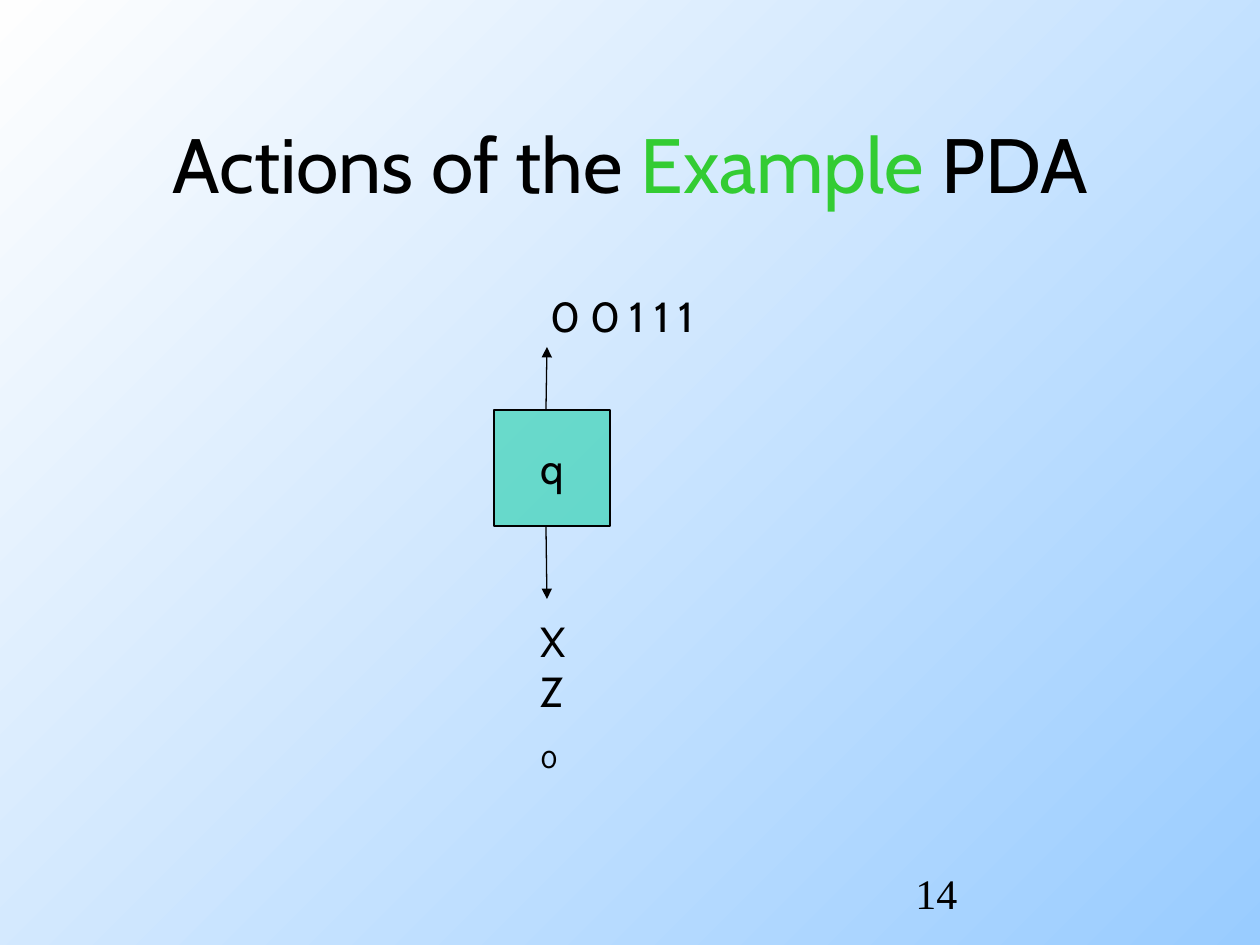
from lxml import etree
from pptx import Presentation
from pptx.dml.color import RGBColor
from pptx.enum.shapes import MSO_CONNECTOR, MSO_SHAPE
from pptx.enum.text import MSO_ANCHOR, MSO_AUTO_SIZE, PP_ALIGN
from pptx.oxml.ns import qn
from pptx.util import Emu, Pt

RECTANGLE = MSO_SHAPE.RECTANGLE
STRAIGHT = MSO_CONNECTOR.STRAIGHT
MIDDLE, TOP = MSO_ANCHOR.MIDDLE, MSO_ANCHOR.TOP
LEFT, CENTER = PP_ALIGN.LEFT, PP_ALIGN.CENTER
NO_FIT = MSO_AUTO_SIZE.NONE

BLACK = RGBColor(0x00, 0x00, 0x00)
GREEN = RGBColor(0x33, 0xCC, 0x33)
TEAL = RGBColor(0x00, 0xCC, 0x99)
SKY = RGBColor(0x99, 0xCC, 0xFF)
WHITE = RGBColor(0xFE, 0xFE, 0xFE)

PX_PER_INCH = 126


def px(length):
    return Emu(round(length * 914400 / PX_PER_INCH))


class SlideBuilder:
    """Holds the style and the current slide."""

    font = "Cabin"
    number_font = "Times New Roman"
    title_size = Pt(44)
    text_size = Pt(24)
    line_width = Pt(0.75)

    def __init__(self, slide):
        self.slide = slide

    def background(self, start, end, angle):
        fill = self.slide.background.fill
        fill.gradient()
        fill.gradient_angle = angle
        for stop, color in zip(fill.gradient_stops, (start, end)):
            stop.color.rgb = color

    def fill_text(self, shape, paragraphs, size=None, font=None, align=LEFT,
                  **frame_format):
        """Fill a shape with paragraphs of (text, color, baseline) runs."""
        frame = shape.text_frame
        frame_values = {"auto_size": NO_FIT, "word_wrap": True,
                        "vertical_anchor": TOP, **frame_format}
        for name, value in frame_values.items():
            setattr(frame, name, value)
        font_values = {"size": size or self.text_size,
                       "name": font or self.font}
        for index, runs in enumerate(paragraphs):
            paragraph = frame.add_paragraph() if index else frame.paragraphs[0]
            paragraph.alignment = align
            for text, color, baseline in runs:
                run = paragraph.add_run()
                run.text = text
                for name, value in font_values.items():
                    setattr(run.font, name, value)
                run.font.color.rgb = color
                if baseline:
                    run.font._element.set("baseline", str(baseline))

    def title(self, box, runs):
        shape = self.slide.shapes.title
        shape.left, shape.top, shape.width, shape.height = map(px, box)
        self.fill_text(shape, [runs], size=self.title_size, align=CENTER,
                       vertical_anchor=MIDDLE)

    def text(self, box, paragraphs, **text_format):
        shape = self.slide.shapes.add_textbox(*map(px, box))
        self.fill_text(shape, paragraphs, **text_format)

    def state_box(self, box, label, color, opacity):
        shape = self.slide.shapes.add_shape(RECTANGLE, *map(px, box))
        shape.shadow.inherit = False
        shape.fill.solid()
        shape.fill.fore_color.rgb = color
        color_element = shape._element.spPr.find(qn("a:solidFill"))[0]
        alpha = etree.SubElement(color_element, qn("a:alpha"))
        alpha.set("val", str(opacity * 1000))
        shape.line.color.rgb = BLACK
        shape.line.width = self.line_width
        self.fill_text(shape, [[(label, BLACK, 0)]], align=CENTER,
                       vertical_anchor=MIDDLE, word_wrap=False)

    def arrow(self, start, end):
        connector = self.slide.shapes.add_connector(
            STRAIGHT, *map(px, (*start, *end)))
        connector.line.color.rgb = BLACK
        connector.line.width = self.line_width
        properties = connector._element.spPr
        line = properties.find(qn("a:ln"))
        etree.SubElement(line, qn("a:tailEnd")).set("type", "triangle")
        etree.SubElement(properties, qn("a:effectLst"))


def main():
    presentation = Presentation()
    presentation.slide_width = px(1260)
    presentation.slide_height = px(945)
    title_only = presentation.slide_layouts[5]
    builder = SlideBuilder(presentation.slides.add_slide(title_only))

    # Background and title
    builder.background(SKY, WHITE, 135)
    builder.title((95, 84, 1071, 158), [("Actions of the ", BLACK, 0),
                                        ("Example ", GREEN, 0),
                                        ("PDA", BLACK, 0)])

    # State of the automaton
    state_left, state_top, state_size = 494, 410, 116
    builder.state_box((state_left, state_top, state_size, state_size),
                      "q", TEAL, 50)

    # Remaining input, above the state
    builder.text((528, 284, 199, 63), [[("0 0 1 1 1", BLACK, 0)]],
                 margin_left=px(23), word_wrap=False)
    builder.arrow((546, state_top), (547, 347))

    # Stack, below the state
    builder.text((528, 609, 63, 121), [[("X", BLACK, 0)],
                                       [("Z", BLACK, 0), ("0", BLACK, -25000)]])
    builder.arrow((546, state_top + state_size), (547, 599))

    # Slide number
    builder.text((903, 861, 262, 63), [[("14", BLACK, 0)]],
                 font=builder.number_font)

    presentation.save("out.pptx")


if __name__ == "__main__":
    main()
